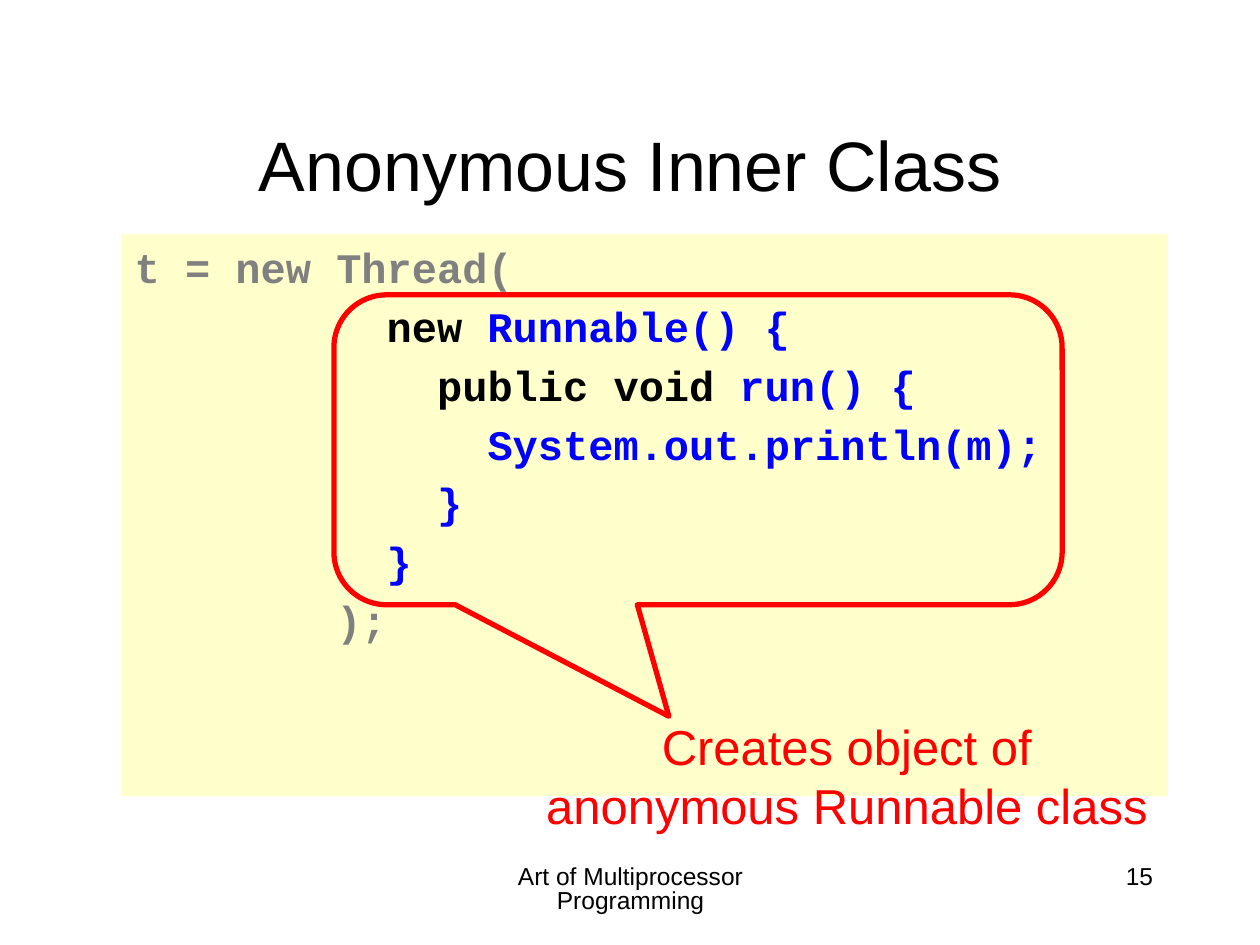
from typing import NamedTuple

from pptx import Presentation
from pptx.dml.color import RGBColor
from pptx.enum.shapes import MSO_SHAPE
from pptx.enum.text import MSO_ANCHOR, PP_ALIGN
from pptx.util import Inches, Pt

RECTANGLE = MSO_SHAPE.RECTANGLE
CALLOUT = MSO_SHAPE.ROUNDED_RECTANGULAR_CALLOUT
LEFT, CENTER, RIGHT = PP_ALIGN.LEFT, PP_ALIGN.CENTER, PP_ALIGN.RIGHT
TOP, MIDDLE = MSO_ANCHOR.TOP, MSO_ANCHOR.MIDDLE

BLACK, GRAY, BLUE, RED, CREAM = "000000", "808080", "0000FF", "FF0000", "FFFFCC"
CODE_SIZE = 24


class Box(NamedTuple):
    left: float
    top: float
    width: float
    height: float


class Token(NamedTuple):
    text: str
    color: str


CODE = [
    [Token("t = new Thread(", GRAY)],
    [Token("          new ", BLACK), Token("Runnable() {", BLUE)],
    [Token("            public void", BLACK), Token(" run() {", BLUE)],
    [Token("              System.out.println(m);", BLUE)],
    [Token("            }", BLUE)],
    [Token("          }", BLUE)],
    [Token("        );", GRAY)],
]


def rgb(color: str) -> RGBColor:
    return RGBColor.from_string(color)


def add_run(paragraph, text: str, *, size: float, color: str = BLACK,
            font: str = "Arial", bold: bool = False) -> None:
    run = paragraph.add_run()
    run.text = text
    run.font.name = font
    run.font.size = Pt(size)
    run.font.bold = bold
    run.font.color.rgb = rgb(color)


def write(frame, text: str, *, align=LEFT, anchor=TOP, spacing: float = 1.0,
          **run_format) -> None:
    frame.word_wrap = True
    frame.vertical_anchor = anchor
    paragraph = frame.paragraphs[0]
    paragraph.alignment = align
    paragraph.line_spacing = spacing
    add_run(paragraph, text, **run_format)


def add_label(slide, box: Box, text: str, **text_format) -> None:
    label = slide.shapes.add_textbox(*map(Inches, box))
    write(label.text_frame, text, **text_format)


def add_code_panel(slide, box: Box, lines: list[list[Token]]) -> None:
    panel = slide.shapes.add_shape(RECTANGLE, *map(Inches, box))
    panel.shadow.inherit = False
    panel.fill.solid()
    panel.fill.fore_color.rgb = rgb(CREAM)
    panel.line.fill.background()
    frame = panel.text_frame
    frame.word_wrap = True
    frame.vertical_anchor = TOP
    frame.margin_top = Inches(0.06)
    for number, tokens in enumerate(lines):
        paragraph = frame.add_paragraph() if number else frame.paragraphs[0]
        paragraph.alignment = LEFT
        paragraph.space_before = Pt(0.2 * CODE_SIZE if number else 0)
        for token in tokens:
            add_run(paragraph, token.text, size=CODE_SIZE, color=token.color,
                    font="Courier New", bold=True)


def add_callout(slide, box: Box, adjustments: tuple[float, ...]) -> None:
    callout = slide.shapes.add_shape(CALLOUT, *map(Inches, box))
    callout.shadow.inherit = False
    callout.fill.background()
    callout.line.color.rgb = rgb(RED)
    callout.line.width = Pt(3)
    for index, value in enumerate(adjustments):
        callout.adjustments[index] = value


def main() -> None:
    deck = Presentation()
    deck.slide_width, deck.slide_height = Inches(10), Inches(7.5)
    slide = deck.slides.add_slide(deck.slide_layouts[5])

    # Footer and page number
    add_label(slide, Box(3.42, 6.83, 3.17, 0.5),
              "Art of Multiprocessor Programming",
              size=14, align=CENTER, spacing=0.8)
    add_label(slide, Box(7.17, 6.83, 2.08, 0.5), "15",
              size=14, align=RIGHT, spacing=0.8)

    # Title
    title = slide.shapes.title
    title.left, title.top, title.width, title.height = map(
        Inches, Box(0.75, 0.67, 8.5, 1.25))
    write(title.text_frame, "Anonymous Inner Class",
          size=40, align=CENTER, anchor=MIDDLE)

    # Code with the inner class called out
    add_code_panel(slide, Box(0.97, 1.86, 8.3, 4.46), CODE)
    add_callout(slide, Box(2.65, 2.34, 5.78, 2.46), (-0.04, 0.86, 0.17))
    add_label(slide, Box(4.23, 5.64, 4.98, 1.51),
              "Creates object of anonymous Runnable class",
              size=28, color=RED, align=CENTER)

    deck.save("out.pptx")


if __name__ == "__main__":
    main()
